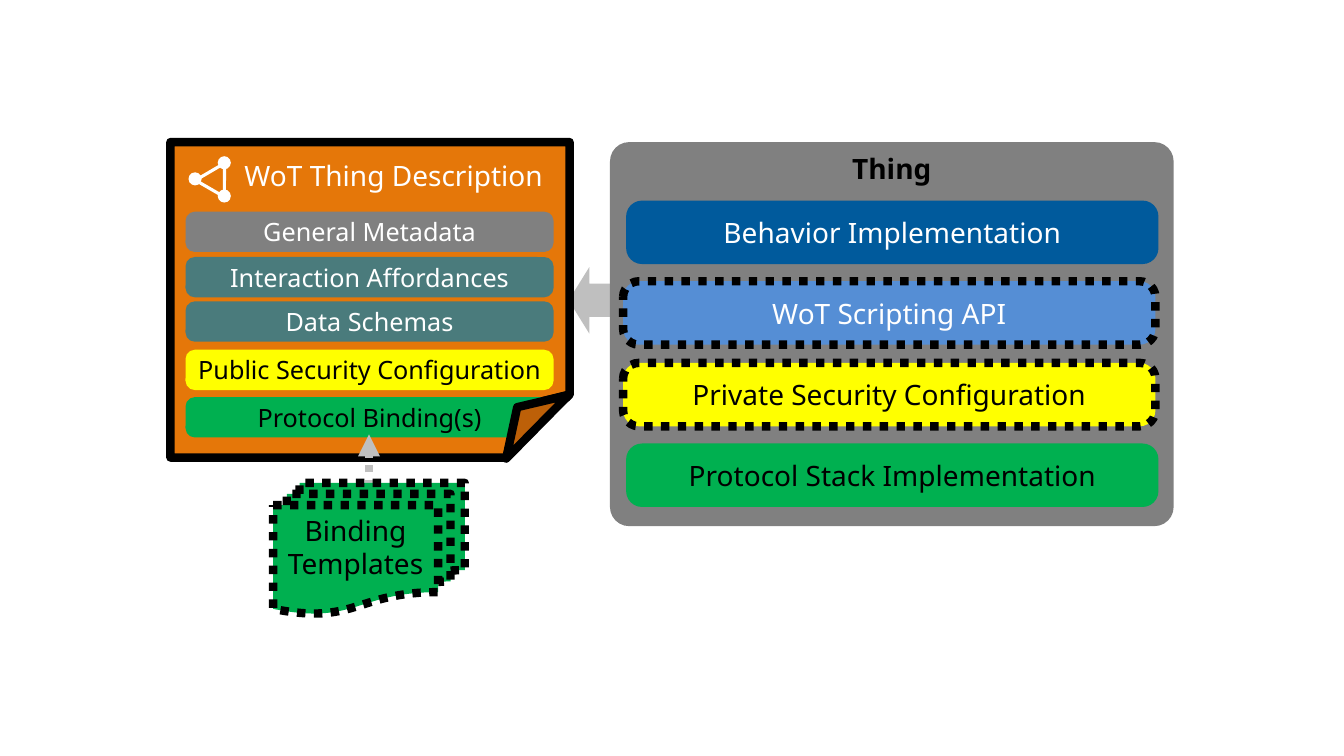
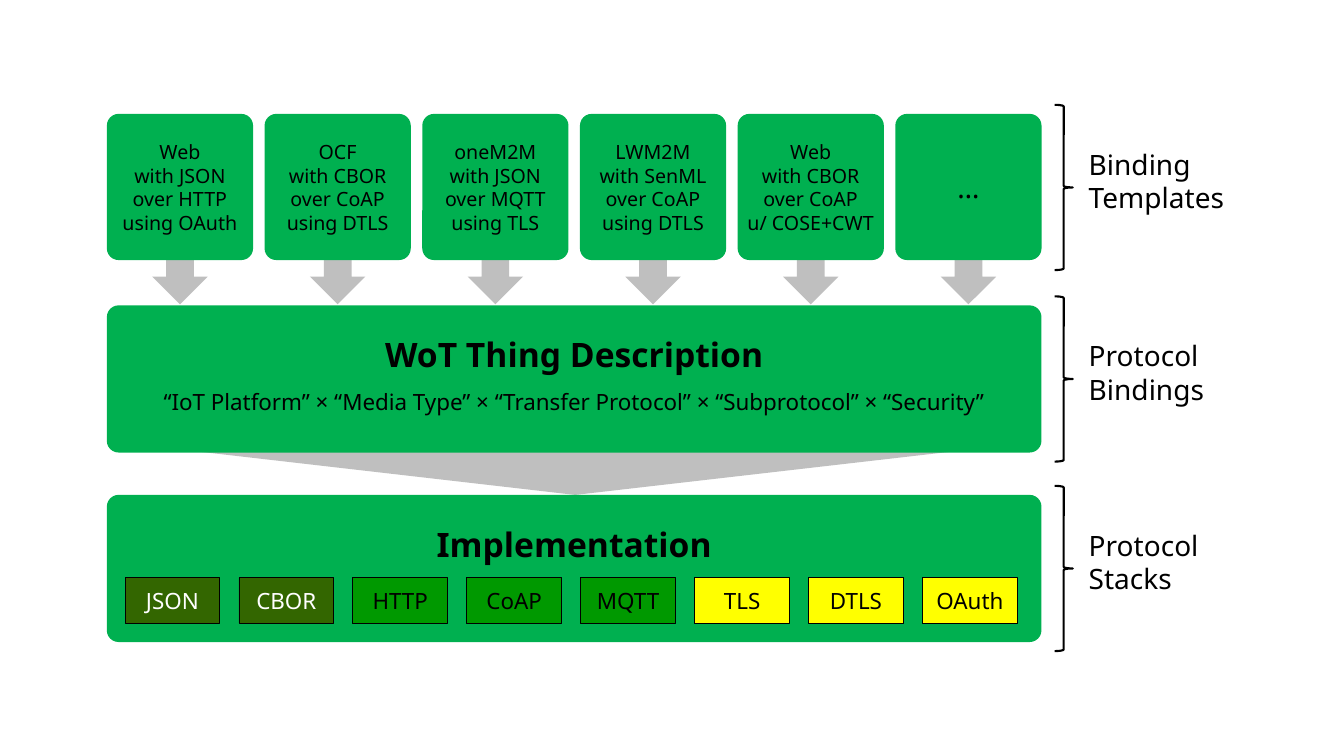
import pptx
import pptx.dml.color
import pptx.enum.dml
import pptx.enum.shapes
import pptx.enum.text
import pptx.util
from dataclasses import dataclass
from lxml import etree
from pptx.util import Inches

SHAPE = pptx.enum.shapes.MSO_SHAPE
ALIGN = pptx.enum.text.PP_ALIGN
ANCHOR = pptx.enum.text.MSO_ANCHOR
ROUND_DOT = pptx.enum.dml.MSO_LINE.ROUND_DOT
DRAWING_NS = "{http://schemas.openxmlformats.org/drawingml/2006/main}"


@dataclass(frozen=True)
class Theme:
    font: str = "Noto Sans"
    black: str = "000000"
    white: str = "FFFFFF"
    gray: str = "808080"
    arrow: str = "BFBFBF"
    green: str = "00B050"
    yellow: str = "FFFF00"
    blue: str = "005A9C"
    light_blue: str = "558ED5"
    teal: str = "4A7B7C"
    orange: str = "E57709"
    fold: str = "BD6008"
    format_green: str = "336600"
    transfer_green: str = "009900"
    heading: int = 24
    label: int = 20
    row: int = 18
    chip: int = 16
    card: int = 14
    thick: float = 6
    brace: float = 1.5


THEME = Theme()

# text, top, fill, text colour, dotted outline
THING_BARS = [
    ("Behavior Implementation", 1.99, THEME.blue, THEME.white, False),
    ("WoT Scripting API", 2.79, THEME.light_blue, THEME.white, True),
    ("Private Security Configuration", 3.6, THEME.yellow, THEME.black, True),
    ("Protocol Stack Implementation", 4.4, THEME.green, THEME.black, False),
]
# text, top, fill, text colour
DESCRIPTION_ROWS = [
    ("General Metadata", 2.1, THEME.gray, THEME.white),
    ("Interaction Affordances", 2.55, THEME.teal, THEME.white),
    ("Data Schemas", 2.99, THEME.teal, THEME.white),
    ("Public Security Configuration", 3.47, THEME.yellow, THEME.black),
    ("Protocol Binding(s)", 3.94, THEME.green, THEME.black),
]
SHARE_DOTS = [(2.16, 1.55), (1.87, 1.71), (2.16, 1.88)]

BINDING_CARDS = [
    ["Web", "with JSON", "over HTTP", "using OAuth"],
    ["OCF", "with CBOR", "over CoAP", "using DTLS"],
    ["oneM2M", "with JSON", "over MQTT", "using TLS"],
    ["LWM2M", "with SenML", "over CoAP", "using DTLS"],
    ["Web", "with CBOR", "over CoAP", "u/ COSE+CWT"],
    ["…"],
]
FORMULA = "“IoT Platform” × “Media Type” × “Transfer Protocol” × “Subprotocol” × “Security”"
LAYERS = [
    (1.13, "Binding\nTemplates"),
    (3.03, "Protocol\nBindings"),
    (4.91, "Protocol\nStacks"),
]
STACK_GROUPS = [
    (["JSON", "CBOR"], THEME.format_green, THEME.white),
    (["HTTP", "CoAP", "MQTT"], THEME.transfer_green, THEME.black),
    (["TLS", "DTLS", "OAuth"], THEME.yellow, THEME.black),
]


def rgb(value):
    return pptx.dml.color.RGBColor.from_string(value)


def set_line(line, color, width, dotted=False):
    line.color.rgb = rgb(color)
    line.width = pptx.util.Pt(width)
    if dotted:
        line.dash_style = ROUND_DOT


def paint(shape, fill=None, line=None):
    """Fill and outline a shape; line is (colour, width[, dotted])."""
    shape.shadow.inherit = False
    if fill:
        shape.fill.solid()
        shape.fill.fore_color.rgb = rgb(fill)
    else:
        shape.fill.background()
    if line:
        set_line(shape.line, *line)
    else:
        shape.line.fill.background()


def add_box(slide, kind, box, fill=None, line=None, adjust=(), rotation=0):
    shape = slide.shapes.add_shape(kind, *map(Inches, box))
    for index, value in enumerate(adjust):
        shape.adjustments[index] = value
    shape.rotation = rotation
    paint(shape, fill, line)
    return shape


def set_fold(shape, fraction):
    """Size the fold of a folded corner, which has no entry in shape.adjustments."""
    geometry = shape.element.spPr.find(DRAWING_NS + "prstGeom")
    guides = geometry.find(DRAWING_NS + "avLst")
    if guides is None:
        guides = etree.SubElement(geometry, DRAWING_NS + "avLst")
    etree.SubElement(guides, DRAWING_NS + "gd", name="adj", fmla=f"val {round(fraction * 100000)}")


def write(shape, paragraphs, size, color=THEME.black, bold=False, align=ALIGN.CENTER,
          anchor=ANCHOR.MIDDLE, wrap=False, spacing=None, insets=None):
    frame = shape.text_frame
    frame.word_wrap = wrap
    frame.vertical_anchor = anchor
    for side, inset in (insets or {}).items():
        setattr(frame, f"margin_{side}", Inches(inset))
    for index, text in enumerate(paragraphs):
        paragraph = frame.add_paragraph() if index else frame.paragraphs[0]
        paragraph.text = text
        paragraph.alignment = align
        if spacing:
            paragraph.line_spacing = spacing
        font_format = {"name": THEME.font, "size": pptx.util.Pt(size), "bold": bold}
        for run in paragraph.runs:
            for name, value in font_format.items():
                setattr(run.font, name, value)
            run.font.color.rgb = rgb(color)
    return frame


def add_polygon(slide, points, fill, line=None):
    corners = [(Inches(x), Inches(y)) for x, y in points]
    builder = slide.shapes.build_freeform(*corners[0], scale=1.0)
    builder.add_line_segments(corners[1:], close=True)
    paint(builder.convert_to_shape(), fill, line)


def add_dotted_arrow(slide, start, end):
    connector = slide.shapes.add_connector(
        pptx.enum.shapes.MSO_CONNECTOR.STRAIGHT, *map(Inches, start + end))
    set_line(connector.line, THEME.arrow, 5.25, True)
    properties = connector.element.spPr
    outline = properties.find(DRAWING_NS + "ln")
    etree.SubElement(outline, DRAWING_NS + "tailEnd", type="triangle")
    etree.SubElement(properties, DRAWING_NS + "effectLst")


def build_thing(slide):
    add_box(slide, SHAPE.LEFT_ARROW, (5.64, 2.65, 0.41, 0.66), THEME.arrow)
    thing = add_box(slide, SHAPE.ROUNDED_RECTANGLE, (6.05, 1.41, 5.59, 3.81),
                    THEME.gray, adjust=[0.05])
    write(thing, ["Thing"], THEME.label, bold=True, anchor=ANCHOR.TOP,
          insets={"top": 0.04, "bottom": 0.08})
    for text, top, fill, color, dotted in THING_BARS:
        left = 6.18 if dotted else 6.21
        line = (THEME.black, THEME.thick, True) if dotted else None
        bar = add_box(slide, SHAPE.ROUNDED_RECTANGLE, (left, top, 5.28, 0.63),
                      fill, line, [0.25])
        write(bar, [text], THEME.label, color)


def build_description(slide):
    outline = (THEME.black, THEME.thick)
    page = add_box(slide, SHAPE.FOLDED_CORNER, (1.69, 1.41, 3.96, 3.13), THEME.orange, outline)
    set_fold(page, 0.2)
    write(page, ["WoT Thing Description"], THEME.label, THEME.white, anchor=ANCHOR.TOP,
          insets={"left": 0.47, "top": 0.16, "right": 0, "bottom": 0})
    add_box(slide, SHAPE.ISOSCELES_TRIANGLE, (1.99, 1.6, 0.33, 0.29),
            line=(THEME.white, 2.25), rotation=30)
    for left, top in SHARE_DOTS:
        add_box(slide, SHAPE.OVAL, (left, top, 0.13, 0.13), THEME.white)
    for text, top, fill, color in DESCRIPTION_ROWS:
        row = add_box(slide, SHAPE.ROUNDED_RECTANGLE, (1.84, top, 3.65, 0.4),
                      fill, adjust=[0.23])
        write(row, [text], THEME.row, color)
    add_polygon(slide, [(5.01, 4.55), (5.65, 4.55), (5.64, 3.92)], THEME.white)
    add_polygon(slide, [(5.02, 4.55), (5.13, 4.04), (5.64, 3.92)], THEME.fold, outline)


def build_templates(slide):
    add_dotted_arrow(slide, (3.66, 5.27), (3.66, 4.31))
    templates = add_box(slide, SHAPE.FLOWCHART_MULTIDOCUMENT, (2.71, 4.79, 1.9, 1.3),
                        THEME.green, (THEME.black, THEME.thick, True))
    write(templates, ["Binding\nTemplates"], THEME.label, anchor=ANCHOR.TOP,
          insets={"left": 0, "top": 0.08, "right": 0, "bottom": 0})


def build_layers(slide):
    left, width, height, card_size = 1.06, 9.27, 1.46, 1.45
    card_top, description_top, implementation_top = [top for top, _ in LAYERS]
    pitch = (width - card_size) / (len(BINDING_CARDS) - 1)
    card_lefts = [left + index * pitch for index in range(len(BINDING_CARDS))]

    add_box(slide, SHAPE.DOWN_ARROW, (1.88, 4.03, 7.65, 0.88), THEME.arrow, adjust=[0.76, 0.5])
    arrow_width = 0.55
    for card_left in card_lefts:
        arrow_left = card_left + (card_size - arrow_width) / 2
        add_box(slide, SHAPE.DOWN_ARROW, (arrow_left, 2.36, arrow_width, 0.66), THEME.arrow)

    for card_left, lines in zip(card_lefts, BINDING_CARDS):
        card = add_box(slide, SHAPE.ROUNDED_RECTANGLE,
                       (card_left, card_top, card_size, card_size), THEME.green, adjust=[0.08])
        write(card, lines, THEME.card if len(lines) > 1 else THEME.label)

    for top, paragraphs in ((description_top, ["WoT Thing Description", FORMULA]),
                            (implementation_top, ["Implementation"])):
        band = add_box(slide, SHAPE.ROUNDED_RECTANGLE, (left, top, width, height),
                       THEME.green, adjust=[0.08])
        frame = write(band, paragraphs, THEME.heading, bold=True, anchor=ANCHOR.TOP, spacing=1.5)
        for paragraph in frame.paragraphs[1:]:
            for run in paragraph.runs:
                run.font.size, run.font.bold = pptx.util.Pt(THEME.chip), False

    for top, label in LAYERS:
        add_box(slide, SHAPE.RIGHT_BRACE, (10.46, top - 0.09, 0.18, 1.64),
                line=(THEME.black, THEME.brace))
        caption = slide.shapes.add_textbox(*map(Inches, (10.7, top + 0.28, 1.6, 0.77)))
        write(caption, [label], THEME.label, align=ALIGN.LEFT, anchor=ANCHOR.TOP, wrap=True)


def build_stacks(slide):
    chips = [(name, fill, color) for names, fill, color in STACK_GROUPS for name in names]
    for index, (name, fill, color) in enumerate(chips):
        chip = add_box(slide, SHAPE.RECTANGLE, (1.24 + 1.13 * index, 5.73, 0.94, 0.45),
                       fill, (THEME.black, 0.5))
        write(chip, [name], THEME.chip, color, wrap=True)


def main():
    presentation = pptx.Presentation()
    presentation.slide_width = Inches(13.33)
    presentation.slide_height = Inches(7.5)
    blank_layout = presentation.slide_layouts[6]
    for builders in ((build_thing, build_description, build_templates),
                     (build_layers, build_stacks)):
        slide = presentation.slides.add_slide(blank_layout)
        for build in builders:
            build(slide)
    presentation.save("out.pptx")


if __name__ == "__main__":
    main()
